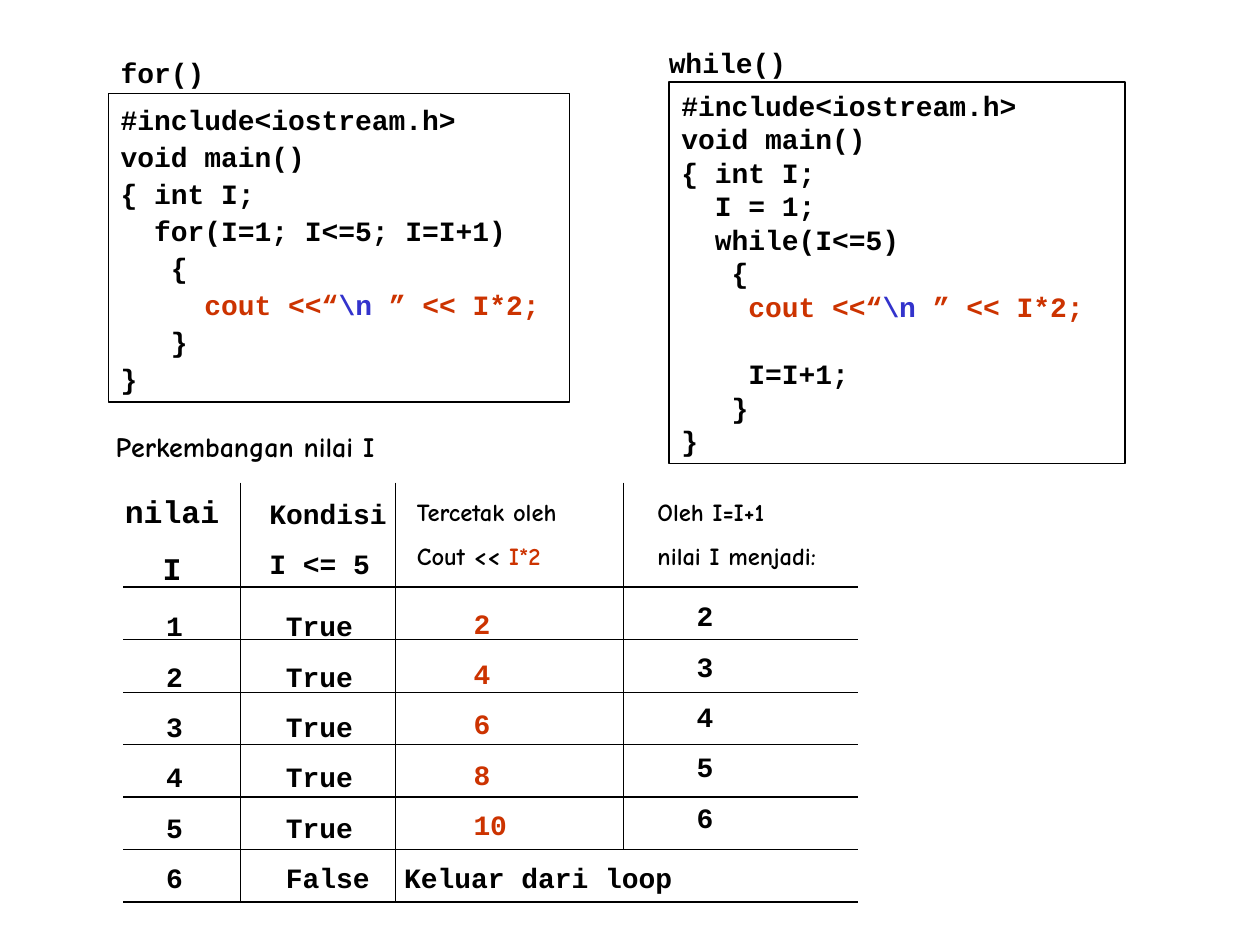
"""Build a slide comparing a for() loop with a while() loop and tracing the value of I."""
from lxml.etree import SubElement
from pptx import Presentation
from pptx.dml.color import RGBColor
from pptx.enum.shapes import MSO_CONNECTOR, MSO_SHAPE
from pptx.enum.text import MSO_ANCHOR, MSO_AUTO_SIZE, PP_ALIGN
from pptx.oxml.ns import qn
from pptx.util import Inches, Pt

BLACK = RGBColor(0x00, 0x00, 0x00)
RED = RGBColor(0xCC, 0x33, 0x00)
BLUE = RGBColor(0x33, 0x33, 0xCC)
CODE, HAND = "Courier New", "Comic Neue"

PRINT = [("cout <<“", RED), ("\\n", BLUE), (" ” << I*2;", RED)]
OPENING = ["#include<iostream.h>", "void main()", "{ int I;"]
FOR_CODE = OPENING + [
    "  for(I=1; I<=5; I=I+1)", "   {", [("     ", BLACK)] + PRINT, "   }", "}",
]
WHILE_CODE = OPENING + [
    "  I = 1;", "  while(I<=5)", "   {", [("    ", BLACK)] + PRINT,
    "    I=I+1;", "   }", "}",
]
STEP_LINE = WHILE_CODE.index("    I=I+1;")

COUNTS = range(1, 6)
CAPTION = ["Perkembangan nilai I"]
HEADERS = [
    ((0.89, 3.71, 0.95, 1.0), ["nilai", "I"], CODE, 18, PP_ALIGN.CENTER),
    ((2.04, 3.76, 1.14, 0.9), ["Kondisi", "I <= 5"], CODE, 16, PP_ALIGN.LEFT),
    ((3.21, 3.78, 1.33, 0.8),
     ["Tercetak oleh", [("Cout << ", BLACK), ("I*2", RED)]], HAND, 14, PP_ALIGN.LEFT),
    ((5.12, 3.78, 1.46, 0.8),
     ["Oleh I=I+1", "nilai I menjadi:"], HAND, 14, PP_ALIGN.LEFT),
]
COLUMNS = [
    ((1.22, 4.65, 0.34, 2.5), [str(i) for i in [*COUNTS, 6]], BLACK),
    ((2.17, 4.65, 0.88, 2.5), ["True" for _ in COUNTS] + ["False"], BLACK),
    ((3.66, 4.63, 0.48, 2.1), [str(i * 2) for i in COUNTS], RED),
    ((3.11, 6.65, 2.34, 0.5), ["Keluar dari loop"], BLACK),
    ((5.43, 4.57, 0.34, 2.1), [str(i + 1) for i in COUNTS], BLACK),
]
CODE_BOXES = [
    ((0.86, 0.74, 3.66, 2.45), FOR_CODE, 1.1),
    ((5.31, 0.65, 3.62, 3.03), WHILE_CODE, 1.0),
]
CODE_LABELS = [
    ((0.86, 0.39, 0.88, 0.37), ["for()"]),
    ((5.21, 0.31, 1.14, 0.37), ["while()"]),
]

GRID_LEFT, GRID_RIGHT = 0.98, 6.81
GRID_TOP, BODY_TOP, GRID_BOTTOM = 3.83, 4.66, 7.16
BODY_ROWS = 6
ROW_HEIGHT = (GRID_BOTTOM - BODY_TOP) / BODY_ROWS
LAST_ROW_TOP = GRID_BOTTOM - ROW_HEIGHT
DIVIDERS = [(1.91, GRID_BOTTOM), (3.14, GRID_BOTTOM), (4.95, LAST_ROW_TOP)]


def write(frame, lines, font=CODE, size=16, color=BLACK, spacing=1.0,
          align=PP_ALIGN.LEFT, wrap=False):
    frame.word_wrap = wrap
    frame.auto_size = MSO_AUTO_SIZE.SHAPE_TO_FIT_TEXT
    frame.vertical_anchor = MSO_ANCHOR.TOP
    for index, line in enumerate(lines):
        paragraph = frame.add_paragraph() if index else frame.paragraphs[0]
        paragraph.alignment = align
        paragraph.line_spacing = spacing
        for words, shade in [(line, color)] if isinstance(line, str) else line:
            run = paragraph.add_run()
            run.text = words
            run.font.name, run.font.size, run.font.bold = font, Pt(size), True
            run.font.color.rgb = shade


def add_text(slide, place, lines, **style):
    write(slide.shapes.add_textbox(*map(Inches, place)).text_frame, lines, **style)


def add_rule(slide, x1, y1, x2, y2):
    rule = slide.shapes.add_connector(
        MSO_CONNECTOR.STRAIGHT, *map(Inches, (x1, y1, x2, y2)))
    rule.line.color.rgb = BLACK
    rule.line.width = Pt(0.75)
    SubElement(rule._element.spPr, qn("a:effectLst"))


def add_code_box(slide, place, lines, spacing):
    box = slide.shapes.add_shape(MSO_SHAPE.RECTANGLE, *map(Inches, place))
    box.shadow.inherit = False
    box.fill.background()
    box.line.color.rgb = BLACK
    box.line.width = Pt(0.75)
    write(box.text_frame, lines, spacing=spacing, wrap=True)
    return box


def main():
    deck = Presentation()
    deck.slide_width, deck.slide_height = Inches(10), Inches(7.5)
    slide = deck.slides.add_slide(deck.slide_layouts[6])

    add_text(slide, (0.82, 3.36, 2.26, 0.37), CAPTION, font=HAND)
    for place, lines, font, size, align in HEADERS:
        add_text(slide, place, lines, font=font, size=size, spacing=1.5, align=align)
    for place, lines, color in COLUMNS:
        add_text(slide, place, lines, color=color, spacing=1.5)

    for row in range(BODY_ROWS + 1):
        y = BODY_TOP + row * ROW_HEIGHT
        add_rule(slide, GRID_LEFT, y, GRID_RIGHT, y)
    for x, bottom in DIVIDERS:
        add_rule(slide, x, GRID_TOP, x, bottom)

    boxes = [add_code_box(slide, *box) for box in CODE_BOXES]
    boxes[1].text_frame.paragraphs[STEP_LINE].space_before = Pt(19.2)
    for place, lines in CODE_LABELS:
        add_text(slide, place, lines)

    deck.save("out.pptx")


if __name__ == "__main__":
    main()
